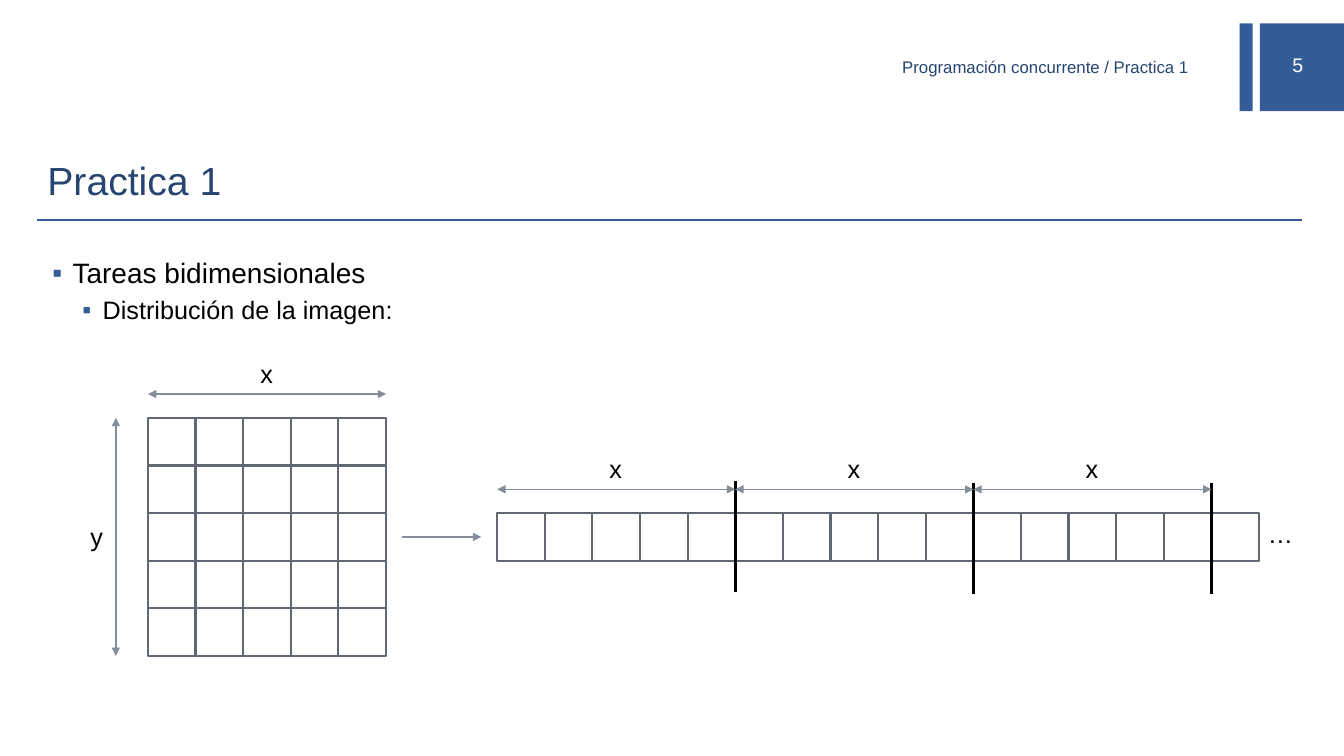
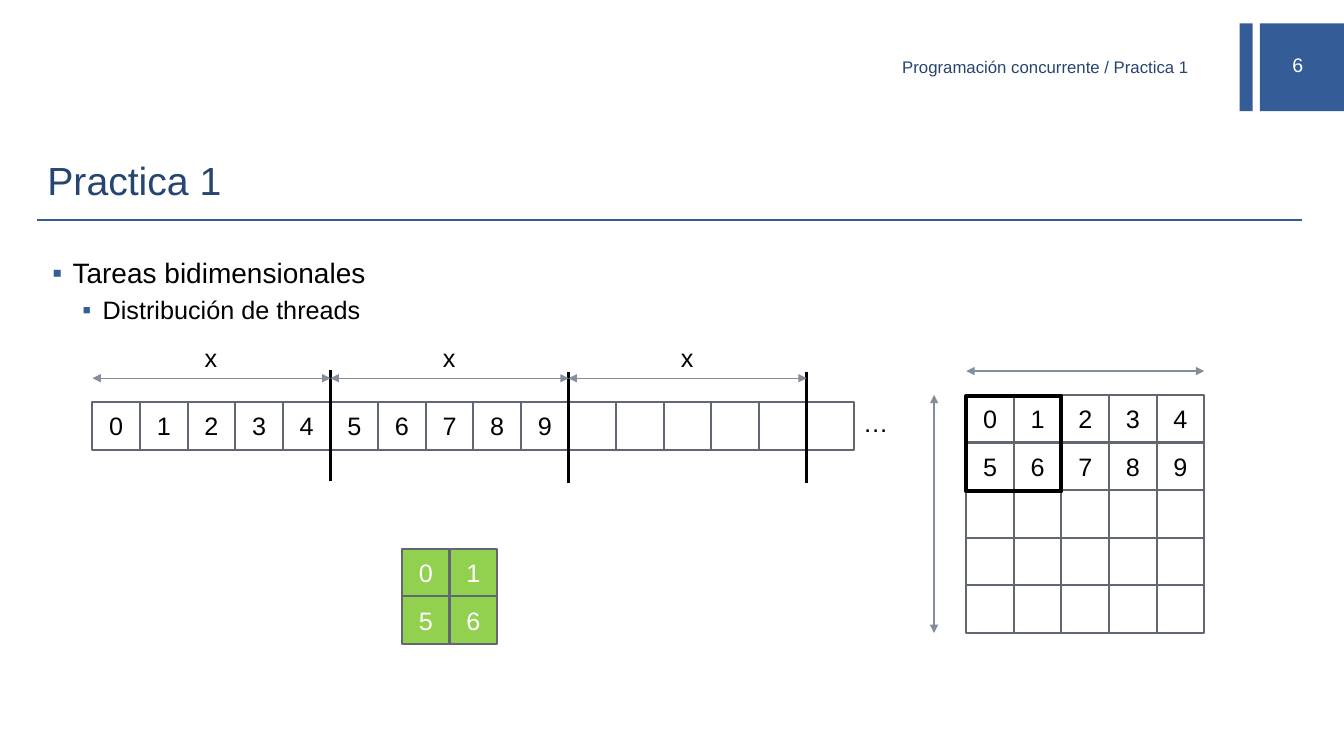
from dataclasses import dataclass

from lxml.etree import SubElement
from pptx import Presentation
from pptx.dml.color import RGBColor
from pptx.enum.shapes import MSO_CONNECTOR, MSO_SHAPE
from pptx.enum.text import MSO_ANCHOR, MSO_AUTO_SIZE, PP_ALIGN
from pptx.oxml.ns import qn
from pptx.util import Cm, Pt


@dataclass(frozen=True)
class Theme:
    font: str = "Arial"
    blue: str = "345C97"
    navy: str = "274571"
    cell_line: str = "616873"
    arrow: str = "838D9B"
    green: str = "92D050"
    black: str = "000000"
    white: str = "FFFFFF"
    title: int = 28
    bullet: int = 20
    body: int = 18
    number: int = 14
    header: int = 12


T = Theme()
CELL = 1.2        # side of one square, in cm
GROUP = 5         # squares in one image row
SIDE = GROUP * CELL


# Text
def write(tf, text, size=T.body, color=T.black, align=PP_ALIGN.LEFT,
          anchor=MSO_ANCHOR.TOP, wrap=True, new=False):
    tf.word_wrap = wrap
    tf.vertical_anchor = anchor
    p = tf.add_paragraph() if new else tf.paragraphs[0]
    p.alignment = align
    r = p.add_run()
    r.text = text
    r.font.name = T.font
    r.font.size = Pt(size)
    r.font.color.rgb = RGBColor.from_string(color)
    return p


def add_text(s, text, x, y, w, h, **fmt):
    tf = s.shapes.add_textbox(Cm(x), Cm(y), Cm(w), Cm(h)).text_frame
    write(tf, text, **fmt)
    return tf


def add_label(s, text, x, y, w=0.84):
    tf = add_text(s, text, x, y, w, 1.02, wrap=False)
    tf.auto_size = MSO_AUTO_SIZE.SHAPE_TO_FIT_TEXT


def set_bullet(p, indent, size):
    p.space_before = Pt(size * 0.2)
    pPr = p._p.get_or_add_pPr()
    pPr.set("marL", str(Cm(indent)))
    pPr.set("indent", str(Cm(-0.51)))
    color = SubElement(pPr, qn("a:buClr"))
    SubElement(color, qn("a:srgbClr"), val=T.blue)
    SubElement(pPr, qn("a:buFont"), typeface=T.font)
    SubElement(pPr, qn("a:buChar"), char="▪")


# Shapes and lines
def add_rect(s, x, y, w, h, fill=None, line=None, weight=1.5):
    sp = s.shapes.add_shape(MSO_SHAPE.RECTANGLE, Cm(x), Cm(y), Cm(w), Cm(h))
    sp.shadow.inherit = False
    if fill:
        sp.fill.solid()
        sp.fill.fore_color.rgb = RGBColor.from_string(fill)
    else:
        sp.fill.background()
    if line:
        sp.line.color.rgb = RGBColor.from_string(line)
        sp.line.width = Pt(weight)
    else:
        sp.line.fill.background()
    return sp


def add_line(s, x1, y1, x2, y2, color=T.arrow, weight=1, ends=()):
    c = s.shapes.add_connector(MSO_CONNECTOR.STRAIGHT,
                               Cm(x1), Cm(y1), Cm(x2), Cm(y2))
    c.line.color.rgb = RGBColor.from_string(color)
    c.line.width = Pt(weight)
    for end in ends:
        SubElement(c.line._ln, qn(f"a:{end}"), type="triangle")
    SubElement(c._element.spPr, qn("a:effectLst"))


def add_dimension(s, x1, y1, x2, y2):
    add_line(s, x1, y1, x2, y2, ends=("headEnd", "tailEnd"))


# Diagrams
def add_cells(s, x, y, cols, rows, labels="", fill=None, color=T.black):
    for i in range(cols * rows):
        row, col = divmod(i, cols)
        sp = add_rect(s, x + col * CELL, y + row * CELL, CELL, CELL,
                      fill=fill, line=T.cell_line)
        if i < len(labels):
            write(sp.text_frame, labels[i], color=color,
                  align=PP_ALIGN.CENTER, anchor=MSO_ANCHOR.MIDDLE)


def add_image_grid(s, x, y, labels=""):
    add_cells(s, x, y, GROUP, GROUP, labels)
    add_dimension(s, x, y - 0.6, x + SIDE, y - 0.6)
    add_dimension(s, x - 0.81, y, x - 0.81, y + SIDE)


def add_x_label(s, x, y):
    add_label(s, "x", x + SIDE / 2 - 0.42, y - 1.63)


def add_strip(s, x, y, labels=""):
    cols, groups = 16, 3
    add_cells(s, x, y, cols, 1, labels)
    for k in range(groups):
        left, right = x + k * SIDE, x + (k + 1) * SIDE
        top = y - (0.76 if k else 0.81)
        add_line(s, right, top, right, top + 2.8, T.black, 2.25)
        add_dimension(s, left, y - 0.6, right, y - 0.6)
        add_x_label(s, left, y)
    add_label(s, "…", x + cols * CELL - 0.03, y, w=1.14)


# Common slide frame
def add_slide(prs, number, topic):
    s = prs.slides.add_slide(prs.slide_layouts[5])
    for x, w in ((31.24, 0.33), (31.75, 2.12)):
        add_rect(s, x, 0.59, w, 2.21, fill=T.blue)
    add_text(s, str(number), 31.6, 1.12, 2.21, 1.02, size=T.number,
             color=T.white, align=PP_ALIGN.CENTER, anchor=MSO_ANCHOR.MIDDLE)
    add_line(s, 0.94, 5.54, 32.82, 5.54, T.blue)

    tf = add_text(s, "Programación concurrente / Practica 1",
                  16.87, 1.32, 13.34, 0.84, size=T.header, color=T.navy,
                  align=PP_ALIGN.RIGHT, anchor=MSO_ANCHOR.MIDDLE)
    tf.margin_top, tf.margin_bottom = 0, Cm(0.13)

    title = s.shapes.title
    title.left, title.top = Cm(0.94), Cm(3.53)
    title.width, title.height = Cm(31.88), Cm(2.01)
    write(title.text_frame, "Practica 1", size=T.title, color=T.navy,
          anchor=MSO_ANCHOR.MIDDLE)

    tf = add_text(s, "Tareas bidimensionales", 0.94, 6.32, 31.88, 11.2,
                  size=T.bullet)
    set_bullet(tf.paragraphs[0], 0.64, T.bullet)
    p = write(tf, topic, new=True)
    p.level = 1
    set_bullet(p, 1.4, T.body)
    return s


def build_image_slide(prs):
    s = add_slide(prs, 5, "Distribución de la imagen:")
    x, y = 3.73, 10.53
    strip_x, strip_y = 12.53, y + 2 * CELL
    add_image_grid(s, x, y)
    add_x_label(s, x, y)
    add_label(s, "y", x - 1.7, y + SIDE / 2 - 0.53)
    middle = y + SIDE / 2
    add_line(s, x + SIDE + 0.4, middle, strip_x - 0.4, middle,
             ends=("tailEnd",))
    add_strip(s, strip_x, strip_y)


def build_threads_slide(prs):
    s = add_slide(prs, 6, "Distribución de threads")
    digits = "0123456789"
    add_strip(s, 2.33, 10.13, digits)
    # Block of threads and its place in the image
    add_cells(s, 10.13, 13.83, 2, 2, "0156", fill=T.green, color=T.white)
    x, y = 24.35, 9.95
    add_image_grid(s, x, y, digits)
    add_rect(s, x, y + 0.03, 2 * CELL, 2 * CELL, line=T.black, weight=3)


def main():
    prs = Presentation()
    prs.slide_width, prs.slide_height = Cm(33.87), Cm(19.05)
    build_image_slide(prs)
    build_threads_slide(prs)
    prs.save("out.pptx")


main()
